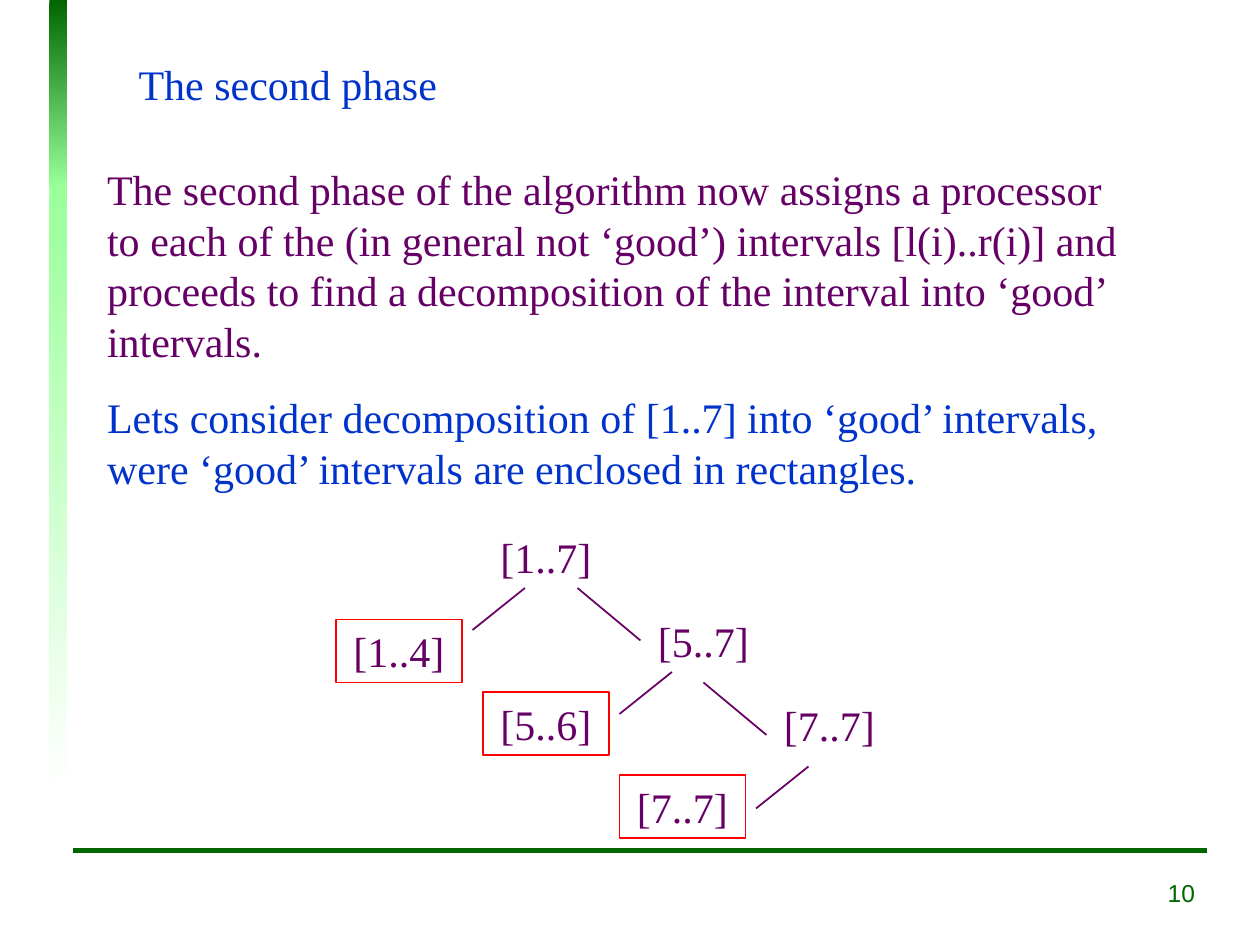
from dataclasses import dataclass
from typing import Optional

from lxml.etree import SubElement
from pptx import Presentation
from pptx.dml.color import RGBColor
from pptx.enum.shapes import MSO_CONNECTOR as Connector, MSO_SHAPE as Shape
from pptx.enum.text import MSO_ANCHOR as Anchor, MSO_AUTO_SIZE as AutoSize, PP_ALIGN as Align
from pptx.oxml.ns import qn
from pptx.util import Inches, Pt

COLUMNS, ROWS = 120, 90
WIDTH, HEIGHT = Inches(10), Inches(7.5)
BLUE, PURPLE, GREEN = "0033CC", "660066", "006600"
LIGHT_GREEN, WHITE, RED = "99FF99", "FFFFFF", "FF0000"
SERIF, SANS = "Times New Roman", "Arial"
NODE_COLUMNS, NODE_ROWS = 12, 6


@dataclass(frozen=True)
class Node:
    """An interval of the tree, placed by its top left grid corner."""
    label: str
    column: float
    row: float
    good: bool = False


@dataclass(frozen=True)
class Branch:
    """A line between two grid points, joined to a node's left side if one is named."""
    start: tuple[float, float]
    end: tuple[float, float]
    target: Optional[str] = None


@dataclass(frozen=True)
class Band:
    """A part of the side bar that fades from one colour to another."""
    row: float
    rows: float
    top: str
    bottom: str


BANDS = [Band(0, 17.8, GREEN, LIGHT_GREEN), Band(17.5, 57.7, LIGHT_GREEN, WHITE)]
NODES = [
    Node("[1..7]", 46, 50),
    Node("[1..4]", 32, 59, True),
    Node("[5..7]", 61, 58),
    Node("[7..7]", 73, 66),
    Node("[5..6]", 46, 65.9, True),
    Node("[7..7]", 59, 73.8, True),
]
BRANCHES = [
    Branch((50, 56), (45, 60)),
    Branch((64, 64), (59, 68)),
    Branch((77, 73), (72, 77)),
    Branch((55, 56), (61, 61), "[5..7]"),
    Branch((67, 65), (73, 70)),
]
BODY = [
    ("The second phase of the algorithm now assigns a processor to each of the "
     "(in general not ‘good’) intervals [l(i)..r(i)] and proceeds to find a "
     "decomposition of the interval into ‘good’ intervals.", PURPLE),
    ("Lets consider decomposition of [1..7] into ‘good’ intervals, "
     "were ‘good’ intervals are enclosed in rectangles.", BLUE),
]


def color(value: str) -> RGBColor:
    """Turn a hex string into a colour."""
    return RGBColor.from_string(value)


def area(column: float, row: float, columns: float, rows: float) -> tuple[int, ...]:
    """Return left, top, width and height of a block of grid cells."""
    cell_width, cell_height = WIDTH / COLUMNS, HEIGHT / ROWS
    return (round(column * cell_width), round(row * cell_height),
            round(columns * cell_width), round(rows * cell_height))


def place(box, column: float, row: float, columns: float, rows: float) -> None:
    """Move a placeholder to a block of grid cells."""
    box.left, box.top, box.width, box.height = area(column, row, columns, rows)


def write(box, lines: list[tuple[str, str]], align=Align.LEFT, size: float = 24,
          font: str = SERIF) -> None:
    """Fill a box with unbulleted paragraphs, each in its own colour."""
    frame = box.text_frame
    frame.word_wrap = True
    frame.auto_size = AutoSize.NONE
    frame.vertical_anchor = Anchor.TOP
    for index, (text, tone) in enumerate(lines):
        para = frame.add_paragraph() if index else frame.paragraphs[0]
        para.text = text
        para.alignment = align
        para.space_before = Pt(15 if index else 0)
        properties = para._p.get_or_add_pPr()
        properties.set("marL", "0")
        properties.set("indent", "0")
        SubElement(properties, qn("a:buNone"))
        para.font.size = Pt(size)
        para.font.name = font
        para.font.color.rgb = color(tone)


def draw_band(page, band: Band) -> None:
    """Draw one faded part of the side bar."""
    bar = page.shapes.add_shape(Shape.RECTANGLE, *area(4.7, band.row, 1.7, band.rows))
    bar.shadow.inherit = False
    bar.line.fill.background()
    bar.fill.gradient()
    bar.fill.gradient_angle = 270
    for stop, tone, position in zip(bar.fill.gradient_stops, (band.top, band.bottom), (0, 1)):
        stop.color.rgb = color(tone)
        stop.position = position


def draw_line(page, start: tuple[float, float], end: tuple[float, float], tone: str,
              weight: float):
    """Draw a straight line between two grid points."""
    line = page.shapes.add_connector(Connector.STRAIGHT, *area(*start, *end))
    line.line.color.rgb = color(tone)
    line.line.width = Pt(weight)
    SubElement(line._element.spPr, qn("a:effectLst"))
    return line


def draw_node(page, node: Node):
    """Draw an interval, framed if it is good."""
    block = area(node.column, node.row, NODE_COLUMNS, NODE_ROWS)
    if node.good:
        box = page.shapes.add_shape(Shape.RECTANGLE, *block)
        box.shadow.inherit = False
        box.fill.background()
        box.line.color.rgb = color(RED)
        box.line.width = Pt(1)
    else:
        box = page.shapes.add_textbox(*block)
    write(box, [(node.label, PURPLE)], Align.CENTER)
    return box


def main() -> None:
    """Build and save the slide."""
    deck = Presentation()
    deck.slide_width, deck.slide_height = WIDTH, HEIGHT
    page = deck.slides.add_slide(deck.slide_layouts[1])
    for band in BANDS:
        draw_band(page, band)
    draw_line(page, (7, 81), (115, 81), GREEN, 3)

    title, body = page.shapes.title, page.placeholders[1]
    place(title, 12, 5, 104, 6)
    write(title, [("The second phase", BLUE)])
    place(body, 9, 15, 101, 32.5)
    write(body, BODY)

    boxes = {(node.label, node.good): draw_node(page, node) for node in NODES}
    for branch in BRANCHES:
        line = draw_line(page, branch.start, branch.end, PURPLE, 1)
        if branch.target:
            line.end_connect(boxes[branch.target, False], 1)

    number = page.shapes.add_textbox(*area(93.2, 83, 21.8, 6))
    write(number, [("10", GREEN)], Align.RIGHT, 14, SANS)
    deck.save("out.pptx")


if __name__ == "__main__":
    main()
